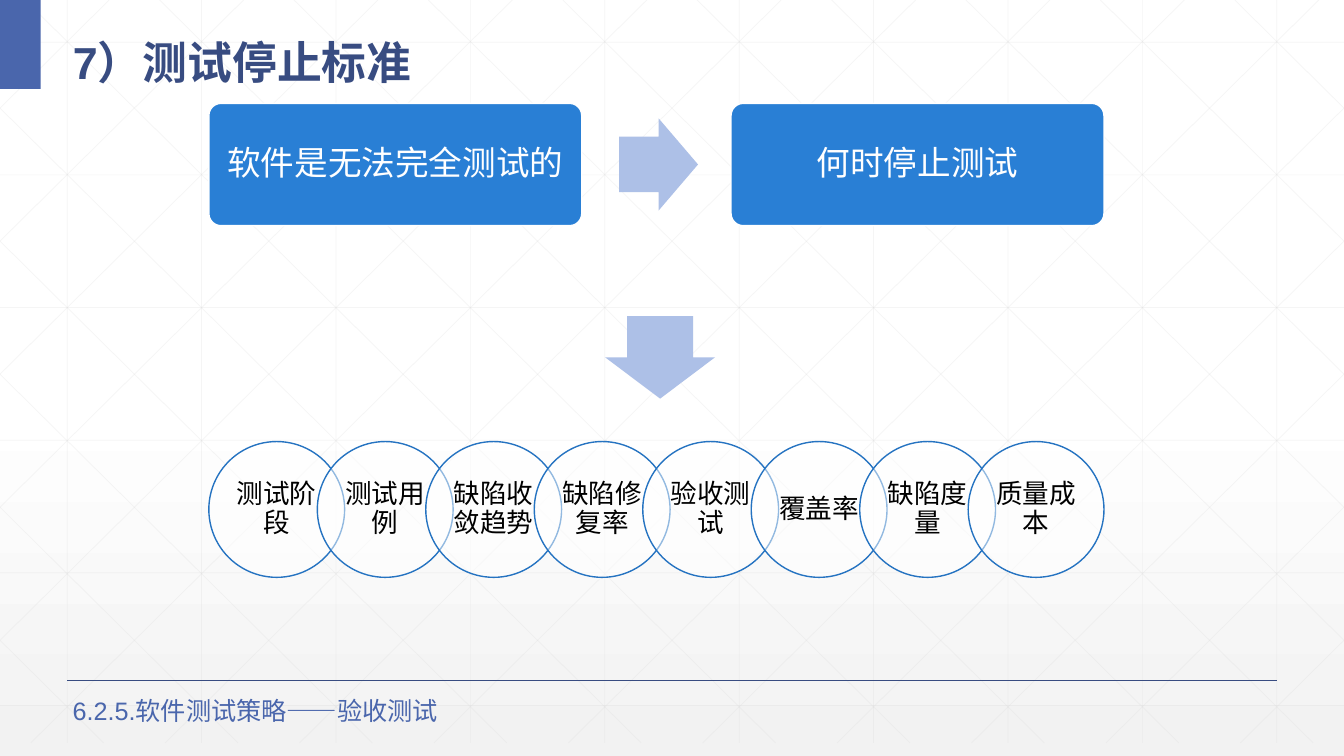
from lxml import etree
from pptx import Presentation
from pptx.dml.color import RGBColor
from pptx.enum.shapes import MSO_CONNECTOR, MSO_SHAPE
from pptx.enum.text import MSO_ANCHOR, PP_ALIGN
from pptx.oxml.ns import qn
from pptx.util import Pt

WHITE = RGBColor(0xFF, 0xFF, 0xFF)
BLACK = RGBColor(0x00, 0x00, 0x00)
PALE_GREY = RGBColor(0xF2, 0xF2, 0xF2)
GRID_GREY = RGBColor(0xD9, 0xD9, 0xD9)
NAVY = RGBColor(0x38, 0x4C, 0x81)
INDIGO = RGBColor(0x4A, 0x66, 0xAC)
BLUE = RGBColor(0x29, 0x7F, 0xD5)
RING_BLUE = RGBColor(0x25, 0x73, 0xC1)
ARROW_BLUE = RGBColor(0xAD, 0xC0, 0xE7)

FONT = "Arial"
WIDTH, HEIGHT = 960, 540
CRITERIA = ["测试阶段", "测试用例", "缺陷收敛趋势", "缺陷修复率",
            "验收测试", "覆盖率", "缺陷度量", "质量成本"]


def set_alpha(fill, percent):
    color = fill._xPr.find(qn("a:solidFill"))[0]
    etree.SubElement(color, qn("a:alpha")).set("val", str(percent * 1000))


def add_line(s, x1, y1, x2, y2, color, weight, opacity=100):
    line = s.shapes.add_connector(MSO_CONNECTOR.STRAIGHT, Pt(x1), Pt(y1), Pt(x2), Pt(y2))
    line.line.color.rgb = color
    line.line.width = Pt(weight)
    if opacity < 100:
        set_alpha(line.line.fill, opacity)
    etree.SubElement(line._element.spPr, qn("a:effectLst"))


def add_block(s, kind, box, fill, outline=None):
    sp = s.shapes.add_shape(kind, *map(Pt, box))
    sp.shadow.inherit = False
    sp.fill.solid()
    sp.fill.fore_color.rgb = fill
    if outline is None:
        sp.line.fill.background()
    else:
        sp.line.color.rgb = outline
        sp.line.width = Pt(1)
    return sp


def add_arrow(s, box, rotation=0):
    sp = add_block(s, MSO_SHAPE.RIGHT_ARROW, box, ARROW_BLUE)
    sp.adjustments[0], sp.adjustments[1] = 0.6, 0.5
    sp.rotation = rotation


def write(sp, text, size, color, bold=False, spacing=None):
    tf = sp.text_frame
    tf.word_wrap = True
    tf.text = text
    p = tf.paragraphs[0]
    if spacing:
        p.line_spacing = spacing
    font = p.runs[0].font
    font.name, font.size, font.bold = FONT, Pt(size), bold
    font.color.rgb = color
    return tf


def write_centred(sp, text, size, color, inset_x, inset_y):
    tf = write(sp, text, size, color, spacing=0.9)
    tf.vertical_anchor = MSO_ANCHOR.MIDDLE
    tf.margin_left = tf.margin_right = Pt(inset_x)
    tf.margin_top = tf.margin_bottom = Pt(inset_y)
    tf.paragraphs[0].alignment = PP_ALIGN.CENTER


def draw_background(s, width, height):
    fill = s.background.fill
    fill.gradient()
    fill.gradient_angle = 270
    for stop, position, color in zip(fill.gradient_stops, (0.53, 1), (WHITE, PALE_GREY)):
        stop.position = position
        stop.color.rgb = color

    bottom, step, slope = 530.6, 96, 0.99
    lines = [(x, 0, x, bottom) for x in range(48, width, step)]
    lines += [(0, 30.2 + 94.75 * i, width, 30.2 + 94.75 * i) for i in range(6)]
    for i in range(-5, 10):
        start = 18 + step * i
        x1, x2 = max(start, 0), min(start + bottom / slope, width)
        y1, y2 = (x1 - start) * slope, (x2 - start) * slope
        lines += [(x1, y1, x2, y2), (width - x1, y1, width - x2, y2)]
    for ends in lines:
        add_line(s, *ends, GRID_GREY, 0.5, 25)


def draw_header(s, x, y, width):
    add_block(s, MSO_SHAPE.RECTANGLE, (x, y, 29, 63.5), INDIGO)
    title = s.shapes.add_textbox(Pt(x + 45), Pt(y + 10), Pt(width - 92), Pt(52.6))
    write(title, "7）测试停止标准", 32, NAVY, bold=True, spacing=1.3)


def draw_footer(s, x, y, width):
    add_line(s, x, y, x + width, y, NAVY, 1)
    caption = s.shapes.add_textbox(Pt(x - 3.2), Pt(y + 7.2), Pt(332.6), Pt(29))
    write(caption, "6.2.5.软件测试策略——验收测试", 18, INDIGO)


def draw_question(s, x, y, width, height):
    card = 266.4
    cards = [(x, "软件是无法完全测试的"), (x + width - card, "何时停止测试")]
    for left, text in cards:
        sp = add_block(s, MSO_SHAPE.ROUNDED_RECTANGLE, (left, y, card, height), BLUE, WHITE)
        sp.adjustments[0] = 0.1
        write_centred(sp, text, 24, WHITE, 7.2, 7.2)
    add_arrow(s, (x + 293, y + (height - 66) / 2, 56.4, 66))


def draw_criteria(s, x, y, width, diameter):
    step = (width - diameter) / (len(CRITERIA) - 1)
    for i, text in enumerate(CRITERIA):
        box = (x + i * step, y, diameter, diameter)
        sp = add_block(s, MSO_SHAPE.OVAL, box, WHITE, RING_BLUE)
        set_alpha(sp.fill, 50)
        write_centred(sp, text, 19, BLACK, 5.3, 2.4)


def main():
    prs = Presentation()
    prs.slide_width, prs.slide_height = Pt(WIDTH), Pt(HEIGHT)
    s = prs.slides.add_slide(prs.slide_layouts[6])
    draw_background(s, WIDTH, HEIGHT)
    draw_header(s, 0, 0, WIDTH)
    draw_question(s, 149.2, 73.8, 639.4, 87.4)
    draw_criteria(s, 149.2, 315.4, 639.4, 97)
    add_arrow(s, (442, 216, 59, 78.5), rotation=90)
    draw_footer(s, 48, 486, 864)
    prs.save("out.pptx")


if __name__ == "__main__":
    main()
